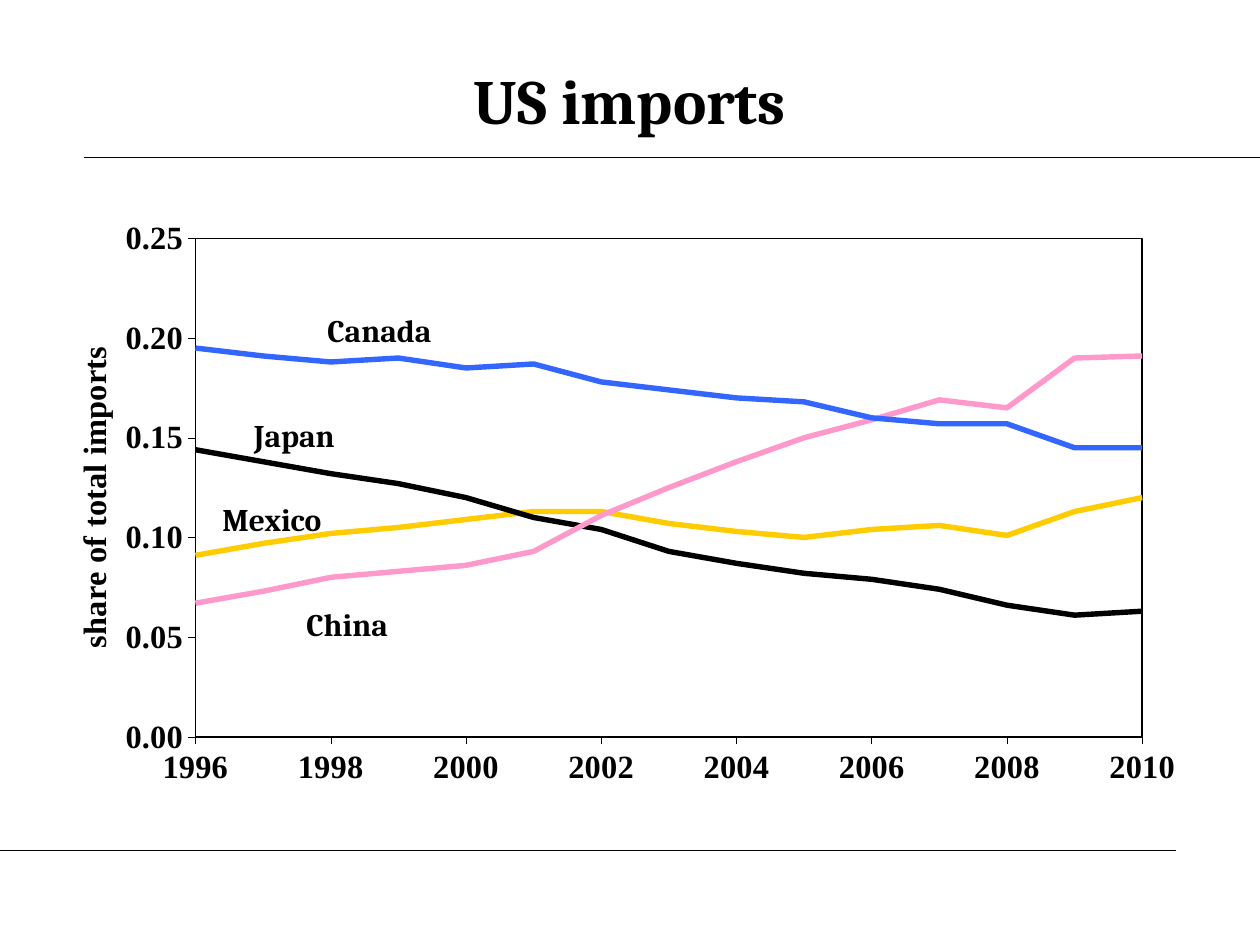
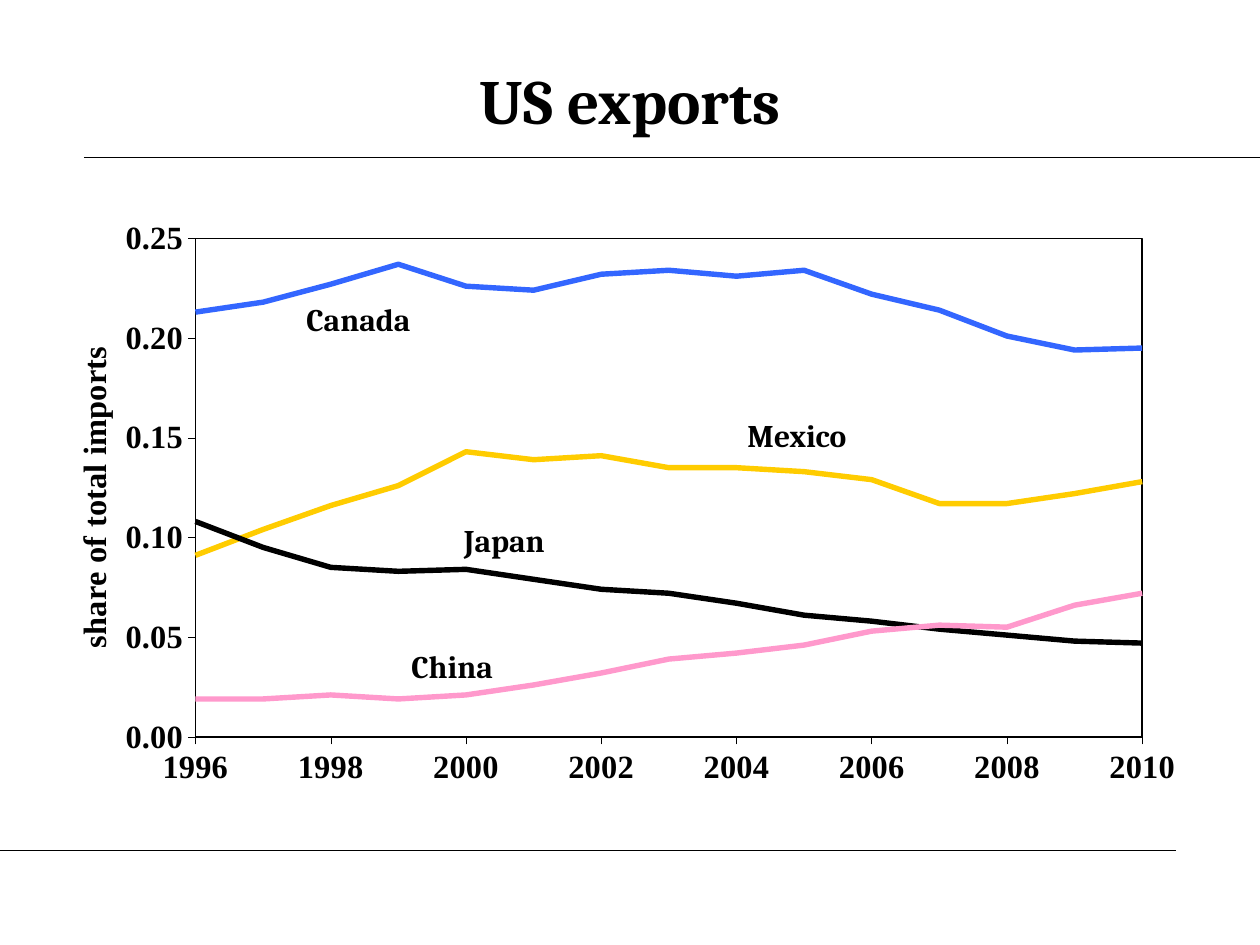
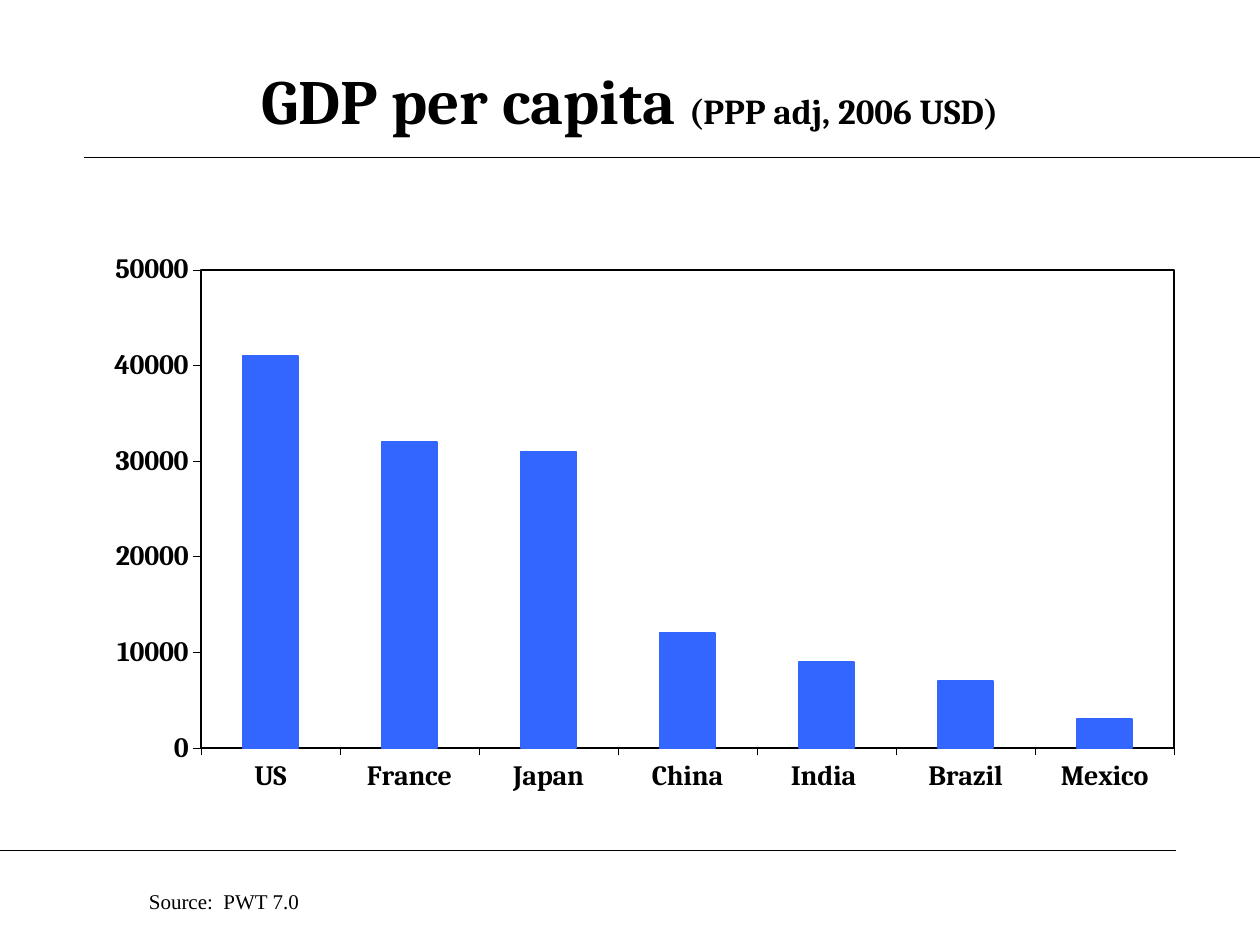
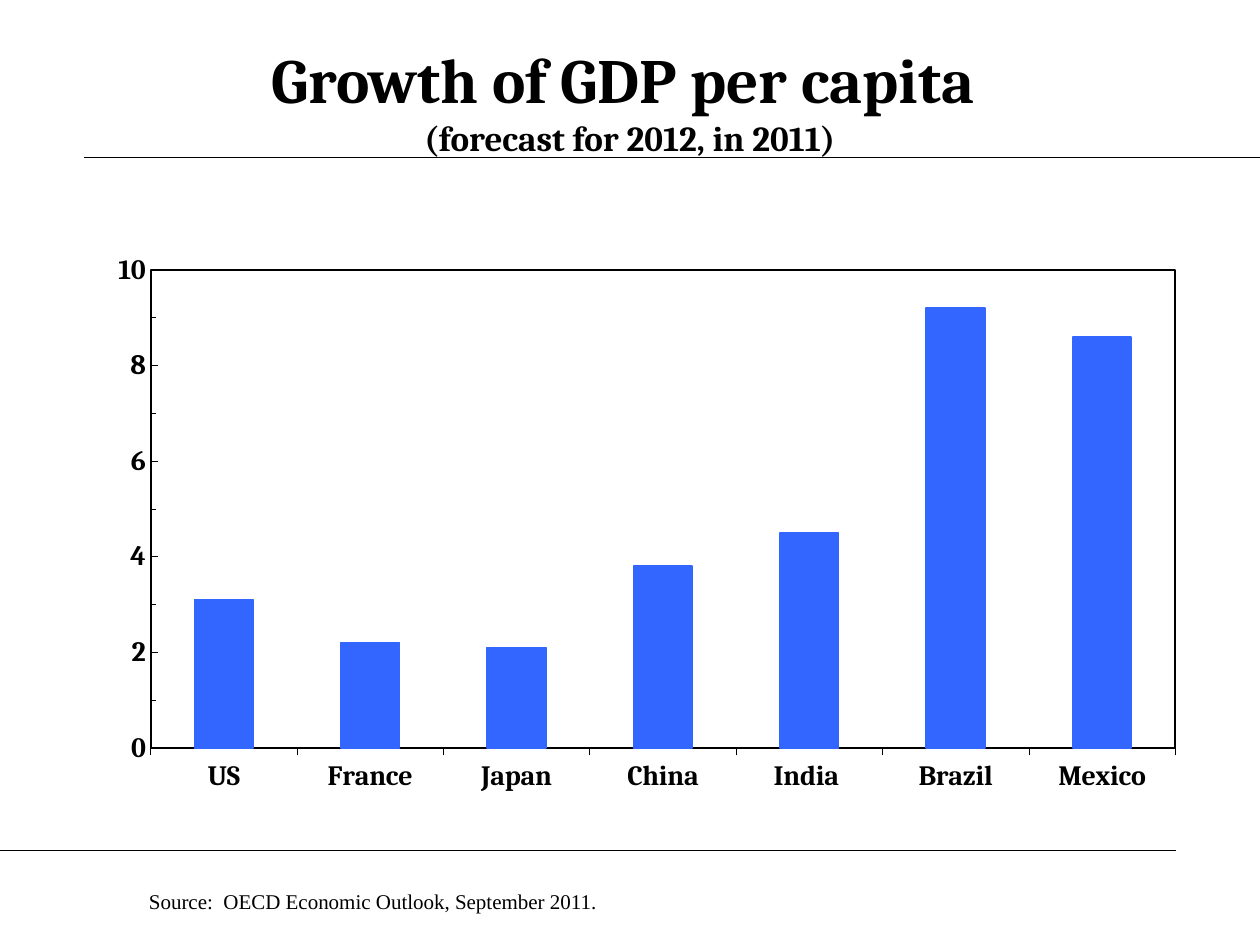
from pptx import Presentation
from pptx.chart.data import CategoryChartData as BarData, XyChartData as DotData
from pptx.dml.color import RGBColor
from pptx.enum.chart import XL_CHART_TYPE as Kind, XL_TICK_MARK as Tick
from pptx.enum.shapes import MSO_CONNECTOR as Link
from pptx.enum.text import MSO_ANCHOR as Anchor, MSO_AUTO_SIZE as Fit, PP_ALIGN as Align
from pptx.oxml import parse_xml
from pptx.oxml.ns import nsdecls, qn
from pptx.util import Emu, Pt

SCALE = 914400 // 120
INK, BLUE, PINK, GOLD = "000000", "3366FF", "FF99CC", "FFCC00"
HEAD, BODY = "Cambria", "Times New Roman"
YEARS = range(1996, 2011)
LANDS = ["US", "France", "Japan", "China", "India ", "Brazil", "Mexico"]
HUES = {"Canada": BLUE, "China": PINK, "Japan": INK, "Mexico": GOLD}

TRADE = [
    ("US imports", {
        "Canada": (300, 290, [0.195, 0.191, 0.188, 0.19, 0.185, 0.187, 0.178, 0.174,
                              0.17, 0.168, 0.16, 0.157, 0.157, 0.145, 0.145]),
        "China": (280, 570, [0.067, 0.073, 0.08, 0.083, 0.086, 0.093, 0.111, 0.125,
                             0.138, 0.15, 0.159, 0.169, 0.165, 0.19, 0.191]),
        "Japan": (230, 390, [0.144, 0.138, 0.132, 0.127, 0.12, 0.11, 0.104, 0.093,
                             0.087, 0.082, 0.079, 0.074, 0.066, 0.061, 0.063]),
        "Mexico": (200, 470, [0.091, 0.097, 0.102, 0.105, 0.109, 0.113, 0.113, 0.107,
                              0.103, 0.1, 0.104, 0.106, 0.101, 0.113, 0.12]),
    }),
    ("US exports", {
        "Canada": (280, 280, [0.213, 0.218, 0.227, 0.237, 0.226, 0.224, 0.232, 0.234,
                              0.231, 0.234, 0.222, 0.214, 0.201, 0.194, 0.195]),
        "China": (380, 610, [0.019, 0.019, 0.021, 0.019, 0.021, 0.026, 0.032, 0.039,
                             0.042, 0.046, 0.053, 0.056, 0.055, 0.066, 0.072]),
        "Japan": (430, 490, [0.108, 0.095, 0.085, 0.083, 0.084, 0.079, 0.074, 0.072,
                             0.067, 0.061, 0.058, 0.054, 0.051, 0.048, 0.047]),
        "Mexico": (700, 390, [0.091, 0.104, 0.116, 0.126, 0.143, 0.139, 0.141, 0.135,
                              0.135, 0.133, 0.129, 0.117, 0.117, 0.122, 0.128]),
    }),
]


def px(*nums):
    return [Emu(num * SCALE) for num in nums]


def hue(code):
    return RGBColor.from_string(code)


def style(font, size, face, bold=True):
    font.size, font.name, font.bold = Pt(size), face, bold
    font.color.rgb = hue(INK)


def stroke(line, code, width):
    line.color.rgb = hue(code)
    line.width = Pt(width)


def place(node, index, spot, target=""):
    for old in node.findall(qn("c:layout")):
        node.remove(old)
    sides = "".join(f'<c:{tag} val="{val}"/>' for tag, val in zip("xywh", spot))
    node.insert(index, parse_xml(
        f'<c:layout {nsdecls("c")}><c:manualLayout>{target}'
        f'<c:xMode val="edge"/><c:yMode val="edge"/>{sides}'
        '</c:manualLayout></c:layout>'))


def write(frame, text, size=18, face=HEAD, bold=True, align=Align.LEFT,
          note="", split=False):
    frame.word_wrap = True
    para = frame.paragraphs[0]
    para.alignment = align
    for part, points in ((text, size), (note, 20)):
        if part:
            if part is note and split:
                para.add_line_break()
            run = para.add_run()
            run.text = part
            style(run.font, points, face, bold)


class Deck:
    def __init__(self):
        self.show = Presentation()
        self.show.slide_width, self.show.slide_height = px(1200, 900)
        self.slide = None

    def page(self, title, note="", split=False):
        self.slide = self.show.slides.add_slide(self.show.slide_layouts[5])
        self.rule(80, 150, 1200)
        self.rule(0, 810, 1120)
        head = self.slide.shapes.title
        head.left, head.top, head.width, head.height = px(60, 40, 1080, 110)
        frame = head.text_frame
        frame.auto_size = Fit.NONE
        frame.vertical_anchor = Anchor.MIDDLE
        write(frame, title, size=36, align=Align.CENTER, note=note, split=split)

    def rule(self, left, top, right):
        line = self.slide.shapes.add_connector(Link.STRAIGHT, *px(left, top, right, top))
        stroke(line.line, INK, 0.75)
        line.element.spPr.append(parse_xml(f"<a:effectLst {nsdecls('a')}/>"))

    def label(self, text, left, top, width=200, height=48, **look):
        box = self.slide.shapes.add_textbox(*px(left, top, width, height))
        box.text_frame.auto_size = Fit.SHAPE_TO_FIT_TEXT
        write(box.text_frame, text, **look)

    def source(self, text):
        self.label(text, 130, 840, 860, 36, size=12, face=BODY, bold=False)

    def chart(self, kind, data, spot, inner, size, face):
        chart = self.slide.shapes.add_chart(kind, *px(*spot), data).chart
        chart.has_legend = chart.has_title = False
        style(chart.font, size, face)
        plot = chart.element.find(f"{qn('c:chart')}/{qn('c:plotArea')}")
        place(plot, 0, inner, '<c:layoutTarget val="inner"/>')
        plot.append(parse_xml(
            f'<c:spPr {nsdecls("c", "a")}><a:noFill/><a:ln w="12700"><a:solidFill>'
            f'<a:srgbClr val="{INK}"/></a:solidFill></a:ln></c:spPr>'))
        return chart

    def axis(self, axis, size, face, low=None, high=None, step=None, form=None,
             tick=Tick.OUTSIDE, minor=None):
        axis.has_major_gridlines = axis.has_minor_gridlines = False
        axis.major_tick_mark = tick
        axis.minor_tick_mark = tick if minor else Tick.NONE
        stroke(axis.format.line, INK, 0.25)
        style(axis.tick_labels.font, size, face)
        if form:
            axis.tick_labels.number_format = form
            axis.tick_labels.number_format_is_linked = False
        if step:
            axis.minimum_scale, axis.maximum_scale = low, high
            axis.major_unit, axis.minor_unit = step, minor

    def lines(self, rows):
        data = DotData()
        for land, (_, _, vals) in rows.items():
            row = data.add_series(land)
            for year, val in zip(YEARS, vals):
                row.add_data_point(year, val)
        chart = self.chart(Kind.XY_SCATTER_LINES_NO_MARKERS, data, (37, 187, 1097, 598),
                           (0.136, 0.067, 0.822, 0.794), 18.5, BODY)
        chart.plots[0].vary_by_categories = False
        self.axis(chart.category_axis, 18.5, BODY, 1996, 2010, 2, "0")
        self.axis(chart.value_axis, 18.5, BODY, 0, 0.25, 0.05, "#,##0.00")
        title = chart.value_axis.axis_title
        write(title.text_frame, "share of total imports",
              size=18.5, face=BODY, align=Align.CENTER)
        place(title.element, 1, (0.025, 0.23))
        for row in chart.plots[0].series:
            row.smooth = False
            stroke(row.format.line, HUES[row.name], 3.08)
        for land, (left, top, _) in rows.items():
            self.label(land, left, top)

    def bars(self, name, vals, left, width, **scale):
        data = BarData()
        data.categories = LANDS
        data.add_series(name, vals)
        chart = self.chart(Kind.COLUMN_CLUSTERED, data, (67, 217, 1063, 580),
                           (left, 0.069, width, 0.785), 18, "Arial")
        self.axis(chart.category_axis, 16, HEAD)
        self.axis(chart.value_axis, 16, HEAD, low=0, form="0", **scale)
        plot = chart.plots[0]
        plot.vary_by_categories = False
        plot.gap_width = 150
        look = plot.series[0].format
        look.fill.solid()
        look.fill.fore_color.rgb = hue(BLUE)
        stroke(look.line, BLUE, 1)


def main():
    deck = Deck()
    for title, rows in TRADE:
        deck.page(title)
        deck.lines(rows)

    deck.page("GDP per capita ", "(PPP adj, 2006 USD)")
    deck.bars("GDP per capita", [41000, 32000, 31000, 12000, 9000, 7000, 3000],
              0.117, 0.872, high=50000, step=10000)
    deck.source("Source:  PWT 7.0")

    deck.page("Growth of GDP per capita ", "(forecast for 2012, in 2011)", split=True)
    deck.bars("Growth", [3.1, 2.2, 2.1, 3.8, 4.5, 9.2, 8.6],
              0.072, 0.918, high=10, step=2, tick=Tick.INSIDE, minor=1)
    deck.source("Source:  OECD Economic Outlook, September 2011.")

    deck.show.save("out.pptx")


if __name__ == "__main__":
    main()
